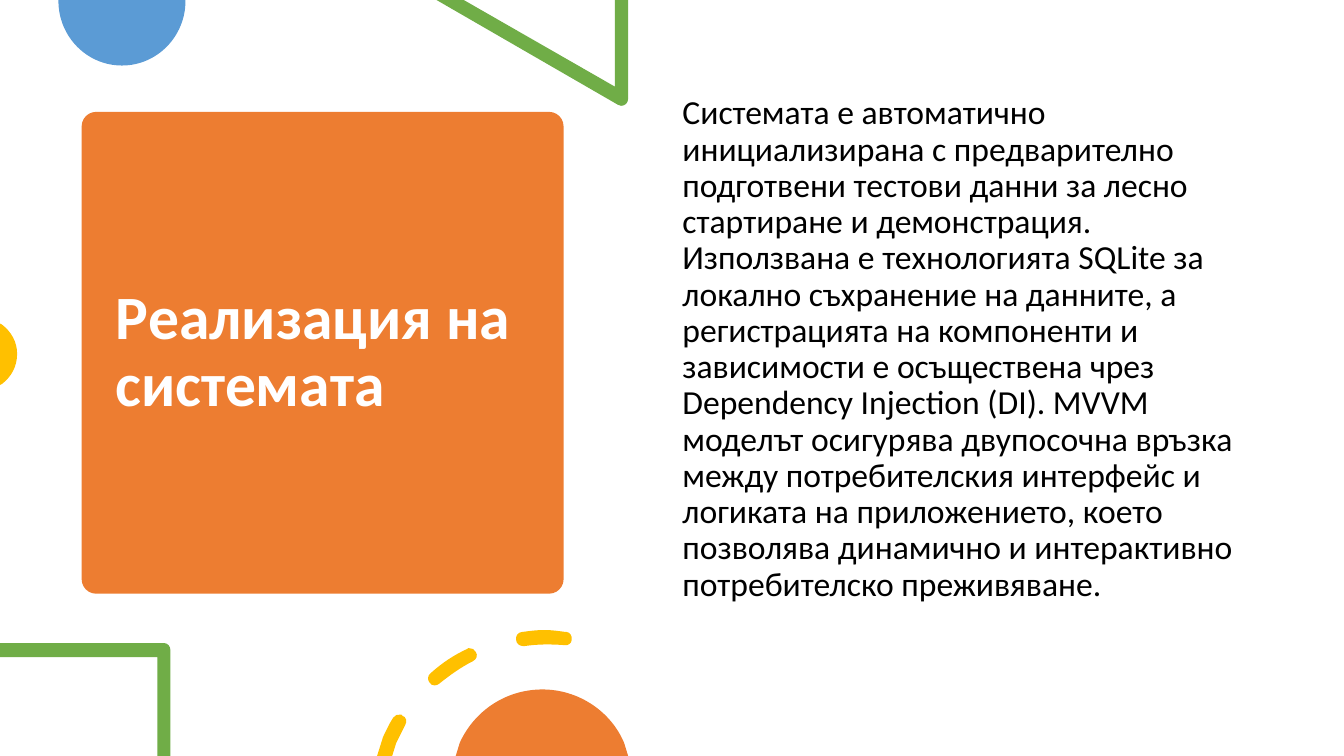
from dataclasses import dataclass

from lxml.etree import Element
from pptx import Presentation
from pptx.dml.color import RGBColor
from pptx.enum.shapes import MSO_SHAPE as Shape
from pptx.enum.text import MSO_ANCHOR as Anchor, MSO_AUTO_SIZE as AutoSize, PP_ALIGN as Align
from pptx.oxml.ns import qn
from pptx.util import Pt

PX = 9144  # EMU per px, 100 px to the inch
ORANGE, BLUE, GREEN, YELLOW = "ED7D31", "5B9BD5", "70AD47", "FFC000"
WHITE, BLACK = "FFFFFF", "000000"

TITLE = "Реализация на системата"
BODY = (
    "Системата е автоматично инициализирана с предварително подготвени тестови данни "
    "за лесно стартиране и демонстрация. Използвана е технологията SQLite за локално "
    "съхранение на данните, а регистрацията на компоненти и зависимости е осъществена "
    "чрез Dependency Injection (DI). MVVM моделът осигурява двупосочна връзка между "
    "потребителския интерфейс и логиката на приложението, което позволява динамично и "
    "интерактивно потребителско преживяване."
)

Segment = tuple[int, ...]


@dataclass(frozen=True)
class Box:
    left: int
    top: int
    width: int
    height: int

    def emu(self) -> tuple[int, int, int, int]:
        return self.left * PX, self.top * PX, self.width * PX, self.height * PX


@dataclass(frozen=True)
class Ornament:
    """Closed contours: two numbers are a corner, six are a Bezier curve."""
    color: str
    contours: list[list[Segment]]


@dataclass(frozen=True)
class TextStyle:
    size: int
    color: str
    bold: bool
    anchor: Anchor
    space_before: int = 0


BLUE_DISC = Ornament(BLUE, [[
    (184, 0), (58, 0), (58, 1), (58, 36, 86, 65, 121, 65), (156, 65, 184, 36, 184, 1)]])
GREEN_TRIANGLE = Ornament(GREEN, [[
    (623, 0), (610, 0), (610, 86), (460, 0), (433, 0), (613, 104),
    (614, 105, 615, 105, 616, 105), (620, 105, 623, 102, 623, 98)]])
YELLOW_DISC = Ornament(YELLOW, [[
    (0, 321), (0, 382), (2, 381), (11, 374, 17, 364, 17, 351), (17, 339, 11, 329, 2, 322)]])
GREEN_FRAME = Ornament(GREEN, [[
    (163, 638), (0, 638), (0, 652), (156, 652), (156, 750), (169, 750), (169, 645),
    (169, 641, 166, 638, 163, 638)]])
YELLOW_DASHES = Ornament(YELLOW, [
    [(397, 709), (394, 708, 392, 710, 390, 712), (386, 718, 383, 725, 380, 731),
     (374, 750), (389, 750), (393, 737), (396, 731, 399, 725, 402, 719),
     (404, 716, 403, 711, 399, 710), (399, 709, 398, 709, 397, 709)],
    [(465, 643), (465, 643, 464, 643, 463, 644), (450, 650, 438, 658, 427, 668),
     (424, 670, 424, 675, 426, 677), (427, 679, 429, 680, 431, 680), (431, 680),
     (433, 680, 435, 679, 436, 678), (446, 670, 457, 662, 469, 656),
     (473, 654, 474, 650, 472, 647), (471, 644, 468, 643, 465, 643)],
    [(540, 625), (532, 625, 525, 626, 518, 627), (514, 627, 511, 631, 512, 635),
     (512, 638, 515, 641, 519, 641), (519, 641, 519, 641, 520, 641),
     (533, 639, 546, 639, 560, 640), (563, 641, 567, 638, 567, 635),
     (568, 631, 565, 627, 562, 627), (562, 627, 561, 627, 561, 627),
     (554, 626, 547, 625, 540, 625)],
])
ORANGE_DISC = Ornament(ORANGE, [[
    (538, 684), (501, 684, 470, 706, 456, 737), (452, 750), (623, 750), (619, 737),
    (606, 706, 574, 684, 538, 684)]])


def rgb(color: str) -> RGBColor:
    return RGBColor.from_string(color)


def paint(shape, color: str) -> None:
    shape.shadow.inherit = False
    shape.fill.solid()
    shape.fill.fore_color.rgb = rgb(color)
    shape.line.fill.background()


def bend_edges(shape, contours: list[list[Segment]]) -> None:
    """Give the curved edges of a straight-edged freeform their control points."""
    segments = [segment for contour in contours for segment in contour]
    left = min(segment[-2] for segment in segments)
    top = min(segment[-1] for segment in segments)
    edges = [segment for contour in contours for segment in contour[1:]]
    for line, edge in zip(list(shape.element.iter(qn("a:lnTo"))), edges):
        if len(edge) == 6:
            line.tag = qn("a:cubicBezTo")
            for index, (x, y) in enumerate((edge[0:2], edge[2:4])):
                line.insert(index, Element(qn("a:pt"), x=str(x - left), y=str(y - top)))


def draw_ornament(slide, ornament: Ornament) -> None:
    contours = ornament.contours
    builder = slide.shapes.build_freeform(*contours[0][0], scale=PX)
    for index, contour in enumerate(contours):
        if index:
            builder.move_to(*contour[0])
        builder.add_line_segments([segment[-2:] for segment in contour[1:]], close=True)
    shape = builder.convert_to_shape()
    bend_edges(shape, contours)
    paint(shape, ornament.color)


def write_text(shape, box: Box, text: str, style: TextStyle) -> None:
    shape.left, shape.top, shape.width, shape.height = box.emu()
    text_frame = shape.text_frame
    text_frame.text = text
    text_frame.word_wrap = True
    text_frame.auto_size = AutoSize.NONE
    text_frame.vertical_anchor = style.anchor
    paragraph = text_frame.paragraphs[0]
    paragraph.alignment = Align.LEFT
    paragraph.line_spacing = 0.9
    paragraph.space_before = Pt(style.space_before)
    font = paragraph.runs[0].font
    font.name = "Calibri"
    font.size = Pt(style.size)
    font.bold = style.bold
    font.color.rgb = rgb(style.color)


def main() -> None:
    presentation = Presentation()
    presentation.slide_width, presentation.slide_height = 1333 * PX, 750 * PX
    slide = presentation.slides.add_slide(presentation.slide_layouts[5])

    # Title on its orange card
    card = slide.shapes.add_shape(Shape.ROUNDED_RECTANGLE, *Box(81, 111, 478, 478).emu())
    card.adjustments[0] = 0.03
    paint(card, ORANGE)
    title = slide.shapes.title
    card.element.addnext(title.element)
    write_text(title, Box(105, 122, 431, 456), TITLE, TextStyle(44, WHITE, True, Anchor.MIDDLE))

    # Ornaments along the top and left edges
    for ornament in (BLUE_DISC, GREEN_TRIANGLE, YELLOW_DISC):
        draw_ornament(slide, ornament)

    # Body text
    body_box = Box(667, 90, 575, 535)
    body = slide.shapes.add_textbox(*body_box.emu())
    write_text(body, body_box, BODY, TextStyle(24, BLACK, False, Anchor.TOP, space_before=10))

    # Ornaments along the bottom edge
    for ornament in (GREEN_FRAME, YELLOW_DASHES, ORANGE_DISC):
        draw_ornament(slide, ornament)

    presentation.save("out.pptx")


if __name__ == "__main__":
    main()
